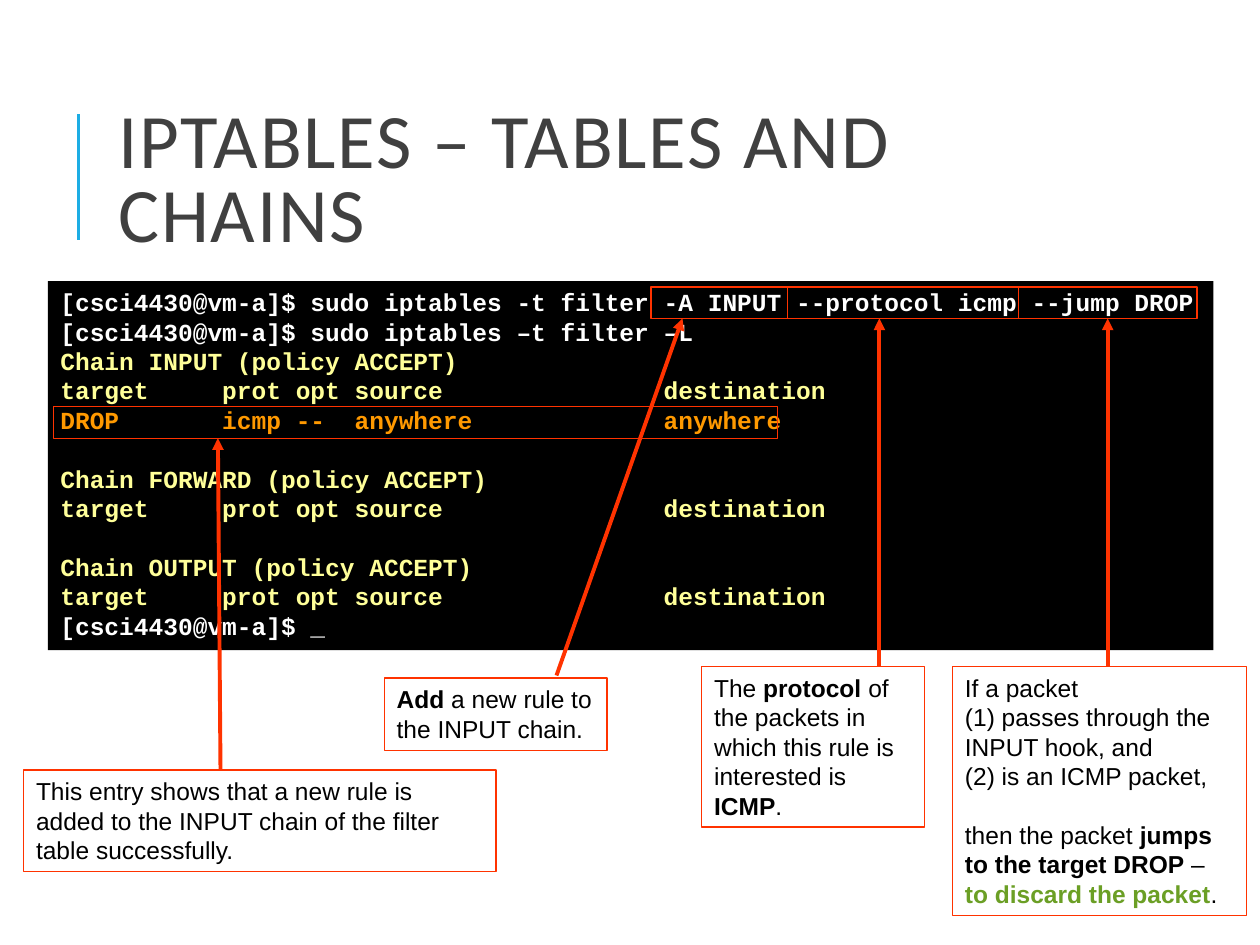
from dataclasses import dataclass
from itertools import pairwise

from lxml.etree import SubElement
from pptx import Presentation
from pptx.dml.color import RGBColor as RGB
from pptx.enum.shapes import MSO_CONNECTOR as Connector, MSO_SHAPE as Shape
from pptx.enum.text import MSO_ANCHOR as Anchor, MSO_AUTO_SIZE as AutoSize, PP_ALIGN as Align
from pptx.oxml.ns import qn
from pptx.util import Pt


@dataclass(frozen=True)
class Theme:
    title_font: str = "Calibri"
    code_font: str = "Courier New"
    note_font: str = "Arial"
    title_size: float = 44
    text_size: float = 14
    leading: float = 16.8
    title: RGB = RGB.from_string("404040")
    accent: RGB = RGB.from_string("1CADE4")
    mark: RGB = RGB.from_string("FF3300")
    output: RGB = RGB.from_string("FFFF99")
    new_rule: RGB = RGB.from_string("FF9900")
    good: RGB = RGB.from_string("6B9F25")
    black: RGB = RGB(0, 0, 0)
    white: RGB = RGB(255, 255, 255)


THEME = Theme()
PROMPT = "[csci4430@vm-a]$ "


def table_row(target, protocol, option, source, destination):
    return f"{target:<11}{protocol:<5}{option:<4}{source:<21}{destination}"


HEADER = table_row("target", "prot", "opt", "source", "destination")
# Each line: text, colour, whether an empty line's height precedes it
TERMINAL = [
    (PROMPT + "sudo iptables -t filter -A INPUT --protocol icmp --jump DROP", THEME.white, False),
    (PROMPT + "sudo iptables –t filter –L", THEME.white, False),
    ("Chain INPUT (policy ACCEPT)", THEME.output, False),
    (HEADER, THEME.output, False),
    (table_row("DROP", "icmp", "--", "anywhere", "anywhere"), THEME.new_rule, False),
    ("Chain FORWARD (policy ACCEPT)", THEME.output, True),
    (HEADER, THEME.output, False),
    ("Chain OUTPUT (policy ACCEPT)", THEME.output, True),
    (HEADER, THEME.output, False),
    (PROMPT + "_", THEME.white, False),
]

COMMAND_TOP, COMMAND_BOTTOM, MARK_HEIGHT = 164, 182, 18
COMMAND_EDGES = [372, 450, 582, 684]

# Runs are (text, bold, colour)
ADD_NOTE = [[("Add", True, THEME.black), (" a new rule to the INPUT chain.", False, THEME.black)]]
PROTOCOL_NOTE = [[
    ("The ", False, THEME.black),
    ("protocol ", True, THEME.black),
    ("of the packets in which this rule is interested is ", False, THEME.black),
    ("ICMP", True, THEME.black),
    (".", False, THEME.black),
]]
JUMP_NOTE = [
    [("If a packet", False, THEME.black)],
    [("(1) passes through the INPUT hook, and", False, THEME.black)],
    [("(2) is an ICMP packet,", False, THEME.black)],
    [
        ("then the packet ", False, THEME.black),
        ("jumps to the target DROP ", True, THEME.black),
        ("– ", False, THEME.black),
        ("to discard the packet", True, THEME.good),
        (".", False, THEME.black),
    ],
]
ENTRY_NOTE = [[(
    "This entry shows that a new rule is added to the INPUT chain of the filter table successfully.",
    False, THEME.black,
)]]


def add_box(slide, bounds, fill=None, outline=None):
    box = slide.shapes.add_shape(Shape.RECTANGLE, *map(Pt, bounds))
    box.shadow.inherit = False
    if fill is None:
        box.fill.background()
    else:
        box.fill.solid()
        box.fill.fore_color.rgb = fill
    if outline is None:
        box.line.fill.background()
    else:
        box.line.color.rgb = outline
        box.line.width = Pt(0.75)
    box.text_frame.word_wrap = True
    box.text_frame.vertical_anchor = Anchor.TOP
    return box


def next_paragraph(frame, index, font_name, gap_before=False):
    paragraph = frame.add_paragraph() if index else frame.paragraphs[0]
    paragraph.alignment = Align.LEFT
    paragraph.line_spacing = Pt(THEME.leading)
    paragraph.space_before = Pt(THEME.leading if gap_before else 0)
    paragraph.font.name = font_name
    paragraph.font.size = Pt(THEME.text_size)
    return paragraph


def add_line(slide, start, end, color, width, arrow=False):
    line = slide.shapes.add_connector(Connector.STRAIGHT, *map(Pt, (*start, *end)))
    line.line.color.rgb = color
    line.line.width = Pt(width)
    if arrow:
        SubElement(line.line._get_or_add_ln(), qn("a:tailEnd"), type="triangle")
    SubElement(line._element.spPr, qn("a:effectLst"))


def set_title(slide, text):
    title = slide.shapes.title
    title.left, title.top, title.width, title.height = map(Pt, (60.5, 46, 574, 118))
    frame = title.text_frame
    frame.text = text
    frame.word_wrap = True
    frame.auto_size = AutoSize.NONE
    frame.vertical_anchor = Anchor.MIDDLE
    heading = frame.paragraphs[0]
    heading.alignment = Align.LEFT
    heading.line_spacing = 0.8
    heading.font.name = THEME.title_font
    heading.font.size = Pt(THEME.title_size)
    heading.font.color.rgb = THEME.title
    heading.runs[0].font._element.set("spc", "100")


def add_terminal(slide):
    frame = add_box(slide, (27.4, 160.6, 666, 211), fill=THEME.black).text_frame
    for index, (text, color, gap) in enumerate(TERMINAL):
        line = next_paragraph(frame, index, THEME.code_font, gap)
        line.font.bold = True
        line.font.color.rgb = color
        line.add_run().text = text


def add_note(slide, bounds, paragraphs):
    frame = add_box(slide, bounds, THEME.white, THEME.mark).text_frame
    for index, runs in enumerate(paragraphs):
        # Only the conclusion of the note is set apart
        paragraph = next_paragraph(frame, index, THEME.note_font, index == 3)
        for text, bold, color in runs:
            run = paragraph.add_run()
            run.text = text
            run.font.bold = bold
            run.font.color.rgb = color


def add_pointer(slide, start, end):
    add_line(slide, start, end, THEME.mark, 2.25, arrow=True)


def main():
    deck = Presentation()
    deck.slide_width, deck.slide_height = Pt(720), Pt(540)
    slide = deck.slides.add_slide(deck.slide_layouts[5])

    add_line(slide, (44.8, 137), (44.8, 65), THEME.accent, 1.5)
    set_title(slide, "IPTABLES – TABLES AND CHAINS")
    add_terminal(slide)

    for left, right in pairwise(COMMAND_EDGES):
        add_box(slide, (left, COMMAND_TOP, right - left, MARK_HEIGHT), outline=THEME.mark)

    command_notes = [
        ((318, 386), (390, COMMAND_BOTTOM), (219.6, 387.4, 127.4, 41.5), ADD_NOTE),
        ((502.5, 386), (502.5, COMMAND_BOTTOM), (401, 381, 127.4, 91.6), PROTOCOL_NOTE),
        ((633, 386), (633, COMMAND_BOTTOM), (544.3, 381, 168, 142), JUMP_NOTE),
    ]
    for start, end, bounds, paragraphs in command_notes:
        add_pointer(slide, start, end)
        add_note(slide, bounds, paragraphs)

    add_note(slide, (13.5, 440, 270, 58), ENTRY_NOTE)
    add_box(slide, (30.4, 232.4, 414, MARK_HEIGHT), outline=THEME.mark)
    add_pointer(slide, (126, 440), (124.5, 250.4))

    deck.save("out.pptx")


if __name__ == "__main__":
    main()
